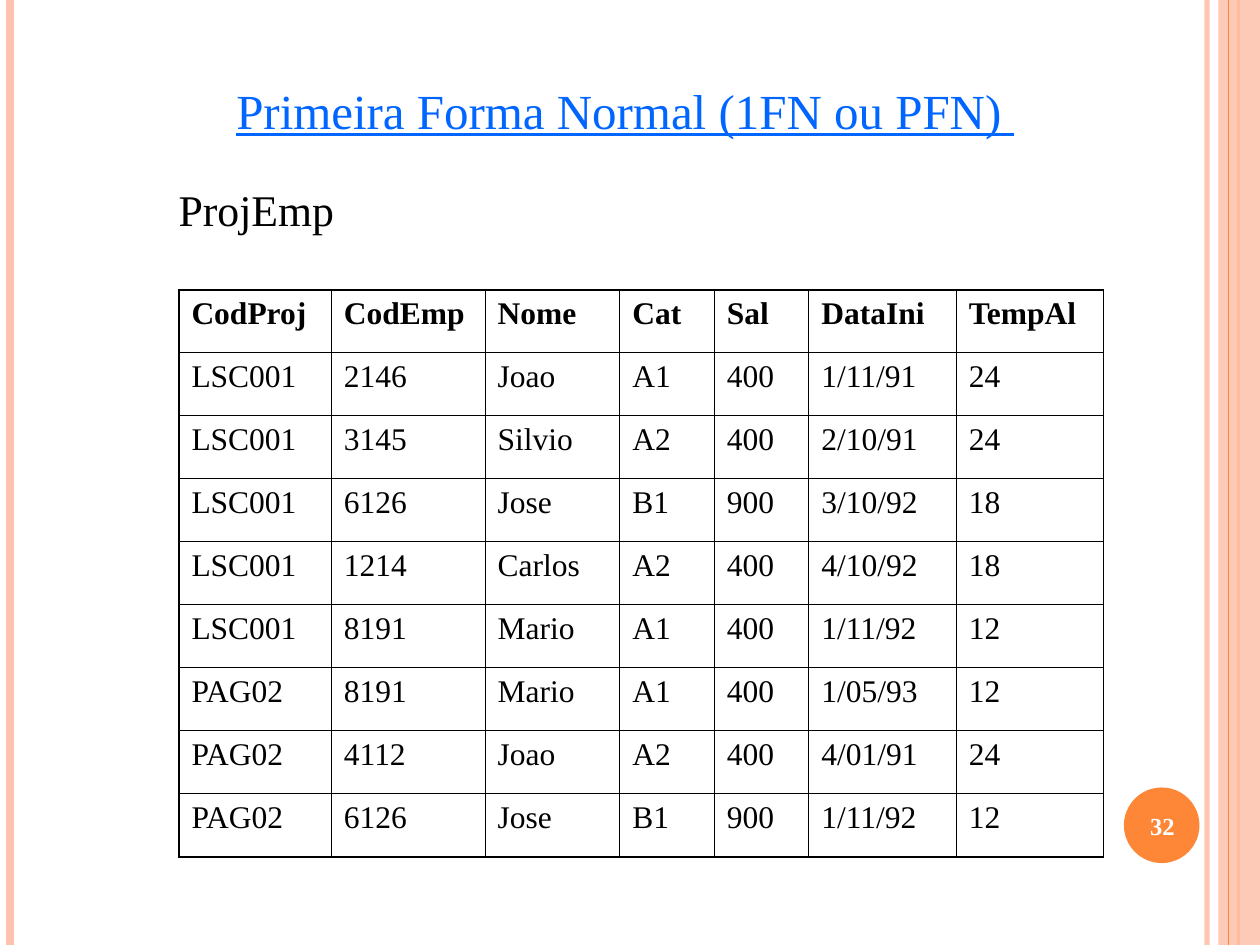
import dataclasses

import lxml.etree
import pptx
import pptx.dml.color
import pptx.enum.shapes
import pptx.enum.text
import pptx.oxml.ns
import pptx.util

Inches = pptx.util.Inches
Pt = pptx.util.Pt
qn = pptx.oxml.ns.qn
ALIGN = pptx.enum.text.PP_ALIGN
ANCHOR = pptx.enum.text.MSO_ANCHOR


@dataclasses.dataclass(frozen=True)
class Theme:
    """Colours, font, type sizes and line widths of the slide."""
    font: str = "Times New Roman"
    orange: str = "FE8637"
    peach: str = "FEC3AE"
    blue: str = "0066FF"
    black: str = "000000"
    white: str = "FFFFFF"
    title: float = 28
    caption: float = 25
    cell: float = 18
    number: float = 14
    outer_rule: float = 1.08
    inner_rule: float = 0.45


THEME = Theme()

HEADINGS = ["CodProj", "CodEmp", "Nome", "Cat", "Sal", "DataIni", "TempAl"]
COLUMN_WIDTHS = [1.21, 1.22, 1.07, 0.75, 0.75, 1.17, 1.17]
ALLOCATIONS = [
    ["LSC001", "2146", "Joao", "A1", "400", "1/11/91", "24"],
    ["LSC001", "3145", "Silvio", "A2", "400", "2/10/91", "24"],
    ["LSC001", "6126", "Jose", "B1", "900", "3/10/92", "18"],
    ["LSC001", "1214", "Carlos", "A2", "400", "4/10/92", "18"],
    ["LSC001", "8191", "Mario", "A1", "400", "1/11/92", "12"],
    ["PAG02", "8191", "Mario", "A1", "400", "1/05/93", "12"],
    ["PAG02", "4112", "Joao", "A2", "400", "4/01/91", "24"],
    ["PAG02", "6126", "Jose", "B1", "900", "1/11/92", "12"],
]


def rgb(code):
    """Turn a hex code into a colour."""
    return pptx.dml.color.RGBColor.from_string(code)


def apply(target, values):
    """Set each named attribute on the target."""
    for name, value in values.items():
        setattr(target, name, value)


def set_opacity(element, percent):
    """Make the solid colour inside an element partly transparent."""
    colour = next(element.iter(qn("a:srgbClr")))
    lxml.etree.SubElement(colour, qn("a:alpha"), val=str(percent * 1000))


def write(paragraph, text, size, colour, **format_values):
    """Put one styled run in a paragraph."""
    run = paragraph.add_run()
    run.text = text
    apply(run.font, {"name": THEME.font, "size": Pt(size), **format_values})
    run.font.color.rgb = rgb(colour)


def add_label(slide, box, text, size, colour, frame_values, align=ALIGN.LEFT, **format_values):
    """Place a text box with one line of text."""
    frame = slide.shapes.add_textbox(*map(Inches, box)).text_frame
    apply(frame, {"word_wrap": True, **frame_values})
    frame.paragraphs[0].alignment = align
    write(frame.paragraphs[0], text, size, colour, **format_values)


def add_stripe(slide, x, top, height, colour, width, opacity=100):
    """Draw a vertical line."""
    stripe = slide.shapes.add_connector(
        pptx.enum.shapes.MSO_CONNECTOR.STRAIGHT,
        Inches(x), Inches(top), Inches(x), Inches(top + height))
    stripe.line.color.rgb = rgb(colour)
    stripe.line.width = Pt(width)
    properties = stripe.line._get_or_add_ln().getparent()
    lxml.etree.SubElement(properties, qn("a:effectLst"))
    if opacity < 100:
        set_opacity(properties, opacity)


def add_plain_shape(slide, kind, box, colour, opacity=100):
    """Draw a filled shape without outline or shadow."""
    shape = slide.shapes.add_shape(kind, *map(Inches, box))
    shape.shadow.inherit = False
    shape.fill.solid()
    shape.fill.fore_color.rgb = rgb(colour)
    shape.line.fill.background()
    if opacity < 100:
        set_opacity(shape.fill._xPr, opacity)


def add_side_bands(slide, box):
    """Draw the stripes along both sides of the slide."""
    left, top, width, height = box
    right = left + width
    add_stripe(slide, right - 0.42, top, height, THEME.peach, 3, 93)
    add_stripe(slide, left + 0.08, top, height, THEME.peach, 4.5)
    add_stripe(slide, right - 0.17, top, height, THEME.orange, 1.5)
    add_plain_shape(slide, pptx.enum.shapes.MSO_SHAPE.RECTANGLE,
                    (right - 0.33, top, 0.33, height), THEME.peach, 87)
    add_stripe(slide, right - 0.25, top, height, THEME.orange, 0.75)


def add_page_number(slide, box, number):
    """Draw the page number on its disc."""
    left, top, width, height = box
    add_plain_shape(slide, pptx.enum.shapes.MSO_SHAPE.OVAL, box, THEME.orange)
    add_label(slide, (left - 0.03, top + 0.02, width + 0.07, height - 0.03), number,
              THEME.number, THEME.white, {"vertical_anchor": ANCHOR.MIDDLE},
              ALIGN.CENTER, bold=True)


def add_cell_borders(cell, widths):
    """Rule the left, right, top and bottom edges of a cell."""
    properties = cell._tc.get_or_add_tcPr()
    for index, (side, width) in enumerate(zip("LRTB", widths)):
        edge = lxml.etree.Element(qn(f"a:ln{side}"), w=str(Pt(width)))
        fill = lxml.etree.SubElement(edge, qn("a:solidFill"))
        lxml.etree.SubElement(fill, qn("a:srgbClr"), val=THEME.black)
        properties.insert(index, edge)


def add_allocation_table(slide, box):
    """Place the ruled table with its bold heading row."""
    records = [HEADINGS] + ALLOCATIONS
    last_row, last_column = len(records) - 1, len(HEADINGS) - 1
    table = slide.shapes.add_table(len(records), len(HEADINGS), *map(Inches, box)).table
    apply(table, {"first_row": False, "horz_banding": False})
    for column, width in zip(table.columns, COLUMN_WIDTHS):
        column.width = Inches(width)
    for r, record in enumerate(records):
        table.rows[r].height = Inches(box[3] / len(records))
        for c, value in enumerate(record):
            cell = table.cell(r, c)
            cell.fill.background()
            paragraph = cell.text_frame.paragraphs[0]
            paragraph.space_before = Pt(4.5)
            write(paragraph, value, THEME.cell, THEME.black, bold=r == 0)
            on_outside = (c == 0, c == last_column, r == 0, r == last_row)
            add_cell_borders(cell, [THEME.outer_rule if outer else THEME.inner_rule
                                    for outer in on_outside])


def build_table_slide(deck, box):
    """Build the slide on the first normal form."""
    slide = deck.slides.add_slide(deck.slide_layouts[6])
    left, top, width, height = box
    add_side_bands(slide, box)
    add_page_number(slide, (left + width - 1.08, top + height - 1.25, 0.6, 0.6), "32")
    add_label(slide, (left + 0.67, top + 0.33, 8.58, 1.08),
              "Primeira Forma Normal (1FN ou PFN) ", THEME.title, THEME.blue,
              {"vertical_anchor": ANCHOR.MIDDLE}, ALIGN.CENTER, underline=True)
    add_allocation_table(slide, (left + 1.42, top + 2.3, sum(COLUMN_WIDTHS), 4.5))
    add_label(slide, (left + 1.32, top + 1.4, 1.43, 0.52), "ProjEmp",
              THEME.caption, THEME.black,
              {"word_wrap": False, "auto_size": pptx.enum.text.MSO_AUTO_SIZE.SHAPE_TO_FIT_TEXT})


def main():
    """Create and save the deck."""
    deck = pptx.Presentation()
    apply(deck, {"slide_width": Inches(10), "slide_height": Inches(7.5)})
    build_table_slide(deck, (0, 0, 10, 7.5))
    deck.save("out.pptx")


main()
